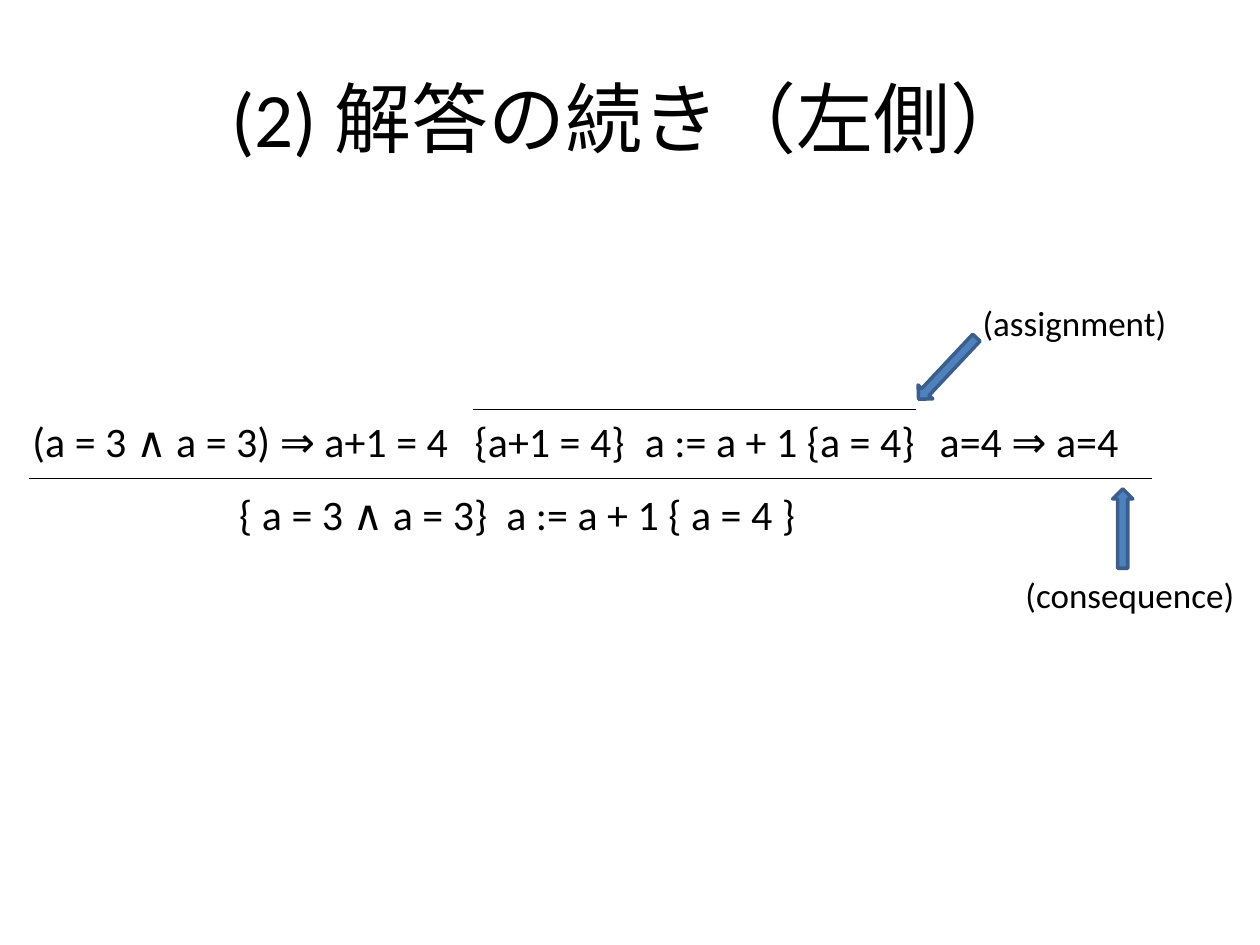
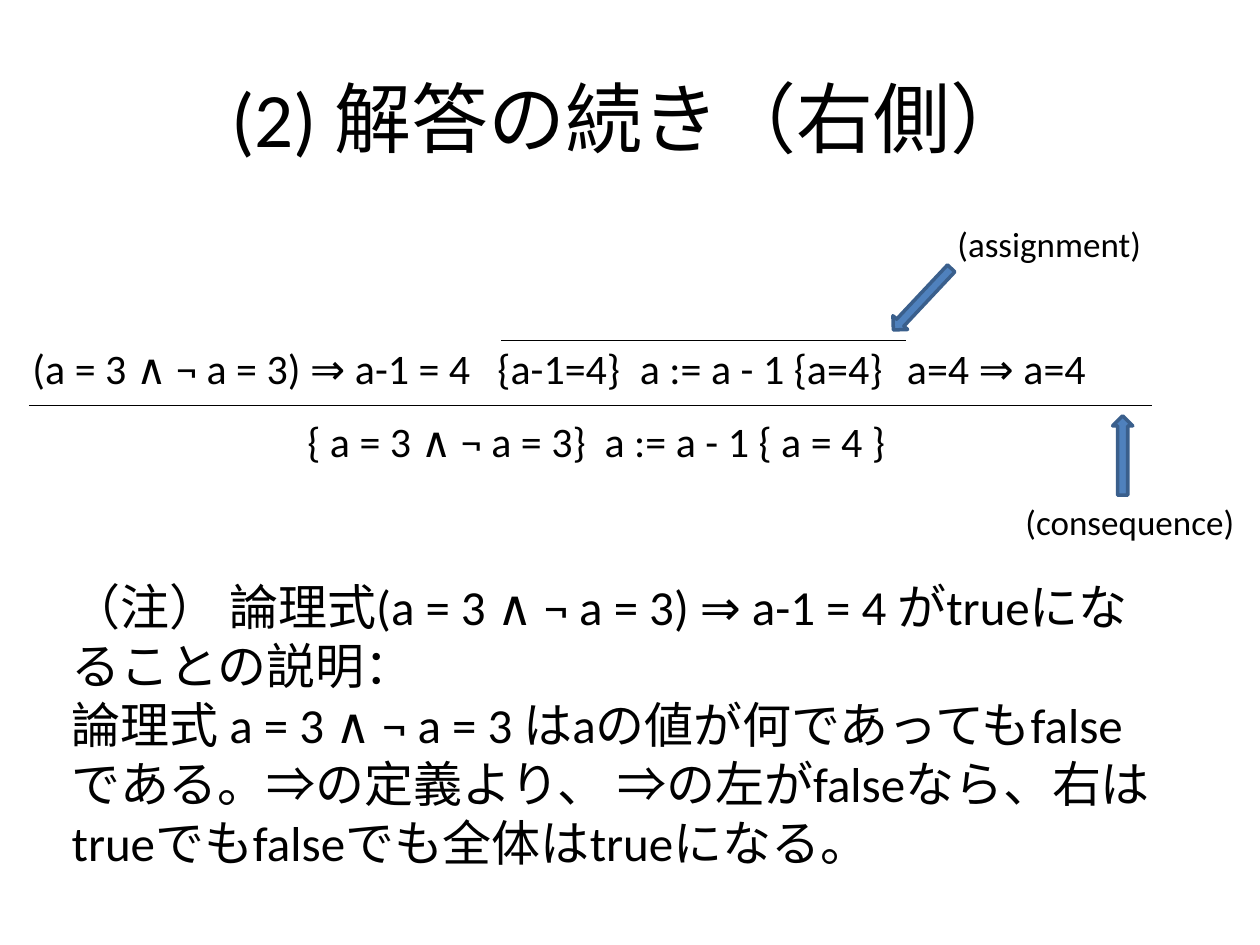
from pptx import Presentation
from pptx.dml.color import RGBColor
from pptx.enum.shapes import MSO_CONNECTOR, MSO_SHAPE
from pptx.enum.text import MSO_ANCHOR, PP_ALIGN
from pptx.oxml.ns import qn
from pptx.util import Inches, Pt
from lxml.etree import SubElement

FONT = "Calibri"
INK, ARROW_FILL, ARROW_EDGE = "000000", "4F81BD", "3A5F8C"
RULE_LEFT, RULE_RIGHT = 0.23, 9.14
ARROW_WIDTH = 0.16

# Tabs separate the parts of a formula; "stops" are their places in inches.
PROOFS = [
    {
        "title": "(2) 解答の続き（左側）",
        "rule_y": 3.8,
        "premises": "(a = 3 ∧ a = 3) ⇒ a+1 = 4\t{a+1 = 4}\ta := a + 1 {a = 4}\ta=4 ⇒ a=4",
        "premise_stops": [3.51, 4.86, 7.2],
        "conclusion": "{ a = 3 ∧ a = 3}\ta := a + 1 { a = 4 }",
        "conclusion_left": 1.8,
        "conclusion_stops": [2.12],
        "axiom_bar": (3.75, 7.27, 3.25),
        "assignment_at": (7.7, 2.34),
        "note": [],
    },
    {
        "title": "(2) 解答の続き（右側）",
        "rule_y": 3.22,
        "premises": "(a = 3 ∧ ¬ a = 3) ⇒ a-1 = 4\t{a-1=4}\ta := a - 1 {a=4}\ta=4 ⇒ a=4",
        "premise_stops": [3.69, 4.82, 6.94],
        "conclusion": "{ a = 3 ∧ ¬ a = 3}\ta := a - 1 { a = 4 }",
        "conclusion_left": 2.34,
        "conclusion_stops": [2.36],
        "axiom_bar": (3.98, 7.19, 2.7),
        "assignment_at": (7.5, 1.72),
        "note": [
            "（注） 論理式(a = 3 ∧ ¬ a = 3) ⇒ a-1 = 4 がtrueになることの説明：",
            "論理式 a = 3 ∧ ¬ a = 3 はaの値が何であってもfalseである。"
            "⇒の定義より、 ⇒の左がfalseなら、右はtrueでもfalseでも全体はtrueになる。",
        ],
    },
]


def color(hex_value):
    return RGBColor.from_string(hex_value)


def write(frame, lines, size, stops=(), align=PP_ALIGN.LEFT):
    """Fill a text frame with one paragraph per line, with optional tab stops."""
    for index, line in enumerate(lines):
        para = frame.paragraphs[0] if index == 0 else frame.add_paragraph()
        para.text = line
        para.alignment = align
        if stops:
            tab_list = SubElement(para._p.get_or_add_pPr(), qn("a:tabLst"))
            for stop in stops:
                SubElement(tab_list, qn("a:tab"), pos=str(Inches(stop)), algn="l")
        for span in para.runs:
            span.font.name = FONT
            span.font.size = Pt(size)
            span.font.color.rgb = color(INK)


def add_text(page, lines, left, top, width, height, size=24, stops=(), wrap=True):
    box = page.shapes.add_textbox(Inches(left), Inches(top), Inches(width), Inches(height))
    box.text_frame.word_wrap = wrap
    write(box.text_frame, lines, size, stops)


def add_rule(page, left, right, y):
    rule = page.shapes.add_connector(
        MSO_CONNECTOR.STRAIGHT, Inches(left), Inches(y), Inches(right), Inches(y))
    rule.line.color.rgb = color(INK)
    rule.line.width = Pt(0.75)
    SubElement(rule._element.spPr, qn("a:effectLst"))


def add_arrow(page, left, top, height, rotation):
    arrow = page.shapes.add_shape(
        MSO_SHAPE.DOWN_ARROW, Inches(left), Inches(top), Inches(ARROW_WIDTH), Inches(height))
    arrow.rotation = rotation
    arrow.shadow.inherit = False
    arrow.fill.solid()
    arrow.fill.fore_color.rgb = color(ARROW_FILL)
    arrow.line.color.rgb = color(ARROW_EDGE)
    arrow.line.width = Pt(2)


def add_proof(deck, proof):
    page = deck.slides.add_slide(deck.slide_layouts.get_by_name("Title Only"))
    title = page.shapes.title
    title.left, title.top, title.width, title.height = map(Inches, (0.5, 0.3, 9, 1.25))
    title.text_frame.vertical_anchor = MSO_ANCHOR.MIDDLE
    write(title.text_frame, [proof["title"]], 44, align=PP_ALIGN.CENTER)

    rule_y = proof["rule_y"]
    add_rule(page, RULE_LEFT, RULE_RIGHT, rule_y)
    add_text(page, [proof["premises"]], 0.16, rule_y - 0.55, 9.3, 0.5,
             stops=proof["premise_stops"])
    add_text(page, [proof["conclusion"]], proof["conclusion_left"], rule_y + 0.03, 4.92, 0.5,
             stops=proof["conclusion_stops"])
    add_text(page, ["(consequence)"], 8.04, rule_y + 0.7, 1.88, 0.44, size=20, wrap=False)
    add_arrow(page, 8.83, rule_y + 0.08, 0.63, 180)

    bar_left, bar_right, bar_y = proof["axiom_bar"]
    label_left, label_top = proof["assignment_at"]
    add_rule(page, bar_left, bar_right, bar_y)
    add_text(page, ["(assignment)"], label_left, label_top, 1.68, 0.44, size=20, wrap=False)
    add_arrow(page, label_left - 0.26, bar_y - 0.66, 0.67, 43.2)

    if proof["note"]:
        add_text(page, proof["note"], 0.47, 4.53, 8.91, 2.46, size=28)


def main():
    deck = Presentation()
    deck.slide_width, deck.slide_height = Inches(10), Inches(7.5)
    for proof in PROOFS:
        add_proof(deck, proof)
    deck.save("out.pptx")


if __name__ == "__main__":
    main()
